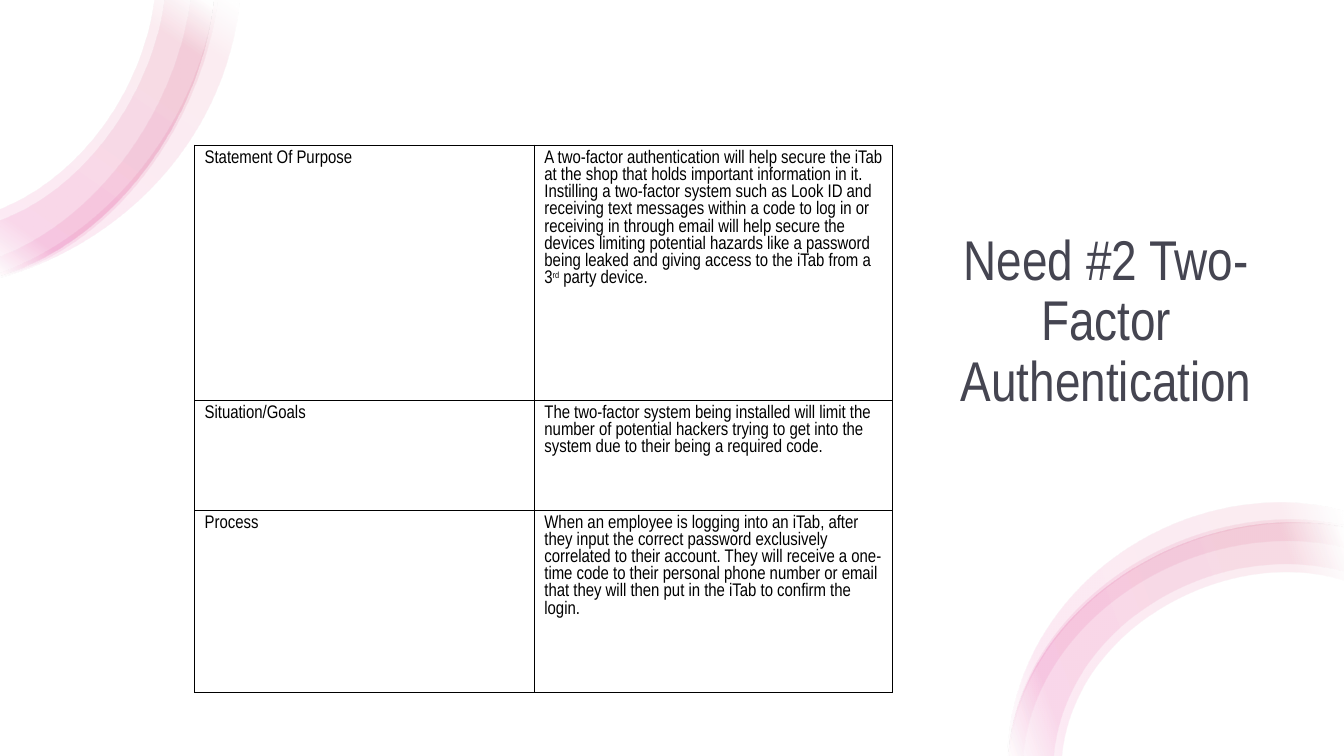
from lxml import etree
from pptx import Presentation
from pptx.dml.color import RGBColor
from pptx.enum import shapes, text
from pptx.oxml import parse_xml
from pptx.oxml.ns import nsdecls, qn
from pptx.util import Inches, Pt

HUES = {"white": "FFFFFF", "rose": "D54773", "pink": "E32D91",
        "slate": "454551", "black": "000000"}
FONT = "Arial Narrow"
STOPS = [(2, "white"), (16, "rose"), (85, "pink"), (100, "white")]


def write(frame, runs, size, hue="black", align=text.PP_ALIGN.LEFT, space=1.0):
    """Fill a frame with one paragraph of (words, raised) runs."""
    frame.word_wrap = True
    para = frame.paragraphs[0]
    para.alignment, para.line_spacing = align, space
    for words, raised in runs:
        run = para.add_run()
        run.text = words
        run.font.name = FONT
        run.font.size = Pt(11 if raised else size)
        run.font.color.rgb = RGBColor.from_string(HUES[hue])
        if raised:
            run.font._element.set("baseline", "30000")


def bend(lines):
    """Turn each three line segments into one cubic curve."""
    for i in range(0, len(lines), 3):
        curve = etree.Element(qn("a:cubicBezTo"))
        lines[i].addprevious(curve)
        for line in lines[i:i + 3]:
            curve.append(line[0])
            line.getparent().remove(line)


deck = Presentation()
deck.slide_width, deck.slide_height = Inches(13.33), Inches(7.5)
slide = deck.slides.add_slide(deck.slide_layouts[6])

back = slide.shapes.add_shape(shapes.MSO_SHAPE.RECTANGLE, 0, 0,
                              deck.slide_width, deck.slide_height)
back.shadow.inherit = False
back.fill.solid()
back.fill.fore_color.rgb = RGBColor.from_string(HUES["white"])
back.line.fill.background()

# Each ribbon: gradient angle, then the outer and inner curve of each band
top_rim = [(0, 2.73), (1.1, 2.4), (1.98, 1.24), (2.12, 0)]
low_rim = [(10, 7.5), (10.08, 6.2), (11.45, 5.18), (12.82, 5.18),
           (13, 5.18), (13.17, 5.2), (13.33, 5.23)]
RIBBONS = [
    (125, [
        ([(0, 2.75), (1.24, 2.4), (2.24, 1.36), (2.37, 0)],
         [(0, 2.7), (1.1, 2.3), (1.96, 1.2), (2.12, 0)]),
        (top_rim, [(0, 2.07), (0.8, 1.75), (1.41, 0.9), (1.53, 0)]),
        ([(0, 2.74), (1.14, 2.44), (2, 1.22), (2.16, 0)],
         [(0, 2.54), (0.98, 2.16), (1.74, 1.1), (1.89, 0)]),
        (top_rim, [(0, 2.18), (0.85, 1.87), (1.51, 0.92), (1.63, 0)]),
    ]),
    (160, [
        (low_rim, [(10.53, 7.5), (10.65, 6.2), (12.2, 5.4), (13.33, 5.76)]),
        (low_rim, [(10.45, 7.5), (10.57, 6.15), (12.1, 5.33), (13.33, 5.67)]),
        ([(10, 7.5), (10.08, 6.2), (11.4, 5.16), (12.8, 5.16),
          (12.98, 5.16), (13.16, 5.19), (13.33, 5.22)],
         [(10.15, 7.5), (10.26, 6.15), (11.85, 5.1), (13.33, 5.44)]),
        ([(9.99, 7.5), (10.03, 6.07), (11.3, 4.99), (12.7, 4.99),
          (12.92, 4.99), (13.13, 5.02), (13.33, 5.08)],
         [(10.01, 7.5), (10.1, 6.1), (11.75, 4.95), (13.33, 5.24)]),
    ]),
]
for angle, bands in RIBBONS:
    stops = "".join(
        f'<a:gs pos="{pos * 1000}"><a:srgbClr val="{HUES[hue]}">'
        f'<a:alpha val="10000"/></a:srgbClr></a:gs>' for pos, hue in STOPS)
    for outer, inner in bands:
        rim = [(Inches(x), Inches(y)) for x, y in outer + inner[::-1]]
        pen = slide.shapes.build_freeform(*rim[0])
        pen.add_line_segments(rim[1:], close=True)
        band = pen.convert_to_shape()
        band.shadow.inherit = False
        band.line.fill.background()
        geom = band._element.spPr.find(qn("a:custGeom"))
        lines = list(geom.iter(qn("a:lnTo")))
        turn = len(outer) - 1
        bend(lines[:turn])
        bend(lines[turn + 1:turn + 4])
        geom.addnext(parse_xml(
            f'<a:gradFill {nsdecls("a")}><a:gsLst>{stops}</a:gsLst>'
            f'<a:lin ang="{angle * 60000}" scaled="0"/></a:gradFill>'))

title = slide.shapes.add_textbox(Inches(9.11), Inches(1.22),
                                 Inches(3.72), Inches(2.93)).text_frame
title.vertical_anchor = text.MSO_ANCHOR.BOTTOM
write(title, [("Need #2 Two-Factor Authentication", False)], 40, hue="slate",
      align=text.PP_ALIGN.CENTER, space=0.9)

ROWS = [
    (2.53, "Statement Of Purpose", [
        ("A two-factor authentication will help secure the iTab at the shop that "
         "holds important information in it. Instilling a two-factor system such as "
         "Look ID and receiving text messages within a code to log in or receiving "
         "in through email will help secure the devices limiting potential hazards "
         "like a password being leaked and giving access to the iTab from a 3", False),
        ("rd", True), (" party device.", False)]),
    (1.09, "Situation/Goals", [
        ("The two-factor system being installed will limit the number of potential "
         "hackers trying to get into the system due to their being a required code.",
         False)]),
    (1.81, "Process", [
        ("When an employee is logging into an iTab, after they input the correct "
         "password exclusively correlated to their account. They will receive a "
         "one-time code to their personal phone number or email that they will then "
         "put in the iTab to confirm the login.", False)]),
]
grid = slide.shapes.add_table(len(ROWS), 2, Inches(1.93), Inches(1.44),
                              Inches(6.92), Inches(5.43)).table
grid.first_row = grid.horz_banding = False
for col, width in zip(grid.columns, (3.37, 3.55)):
    col.width = Inches(width)
for row, (height, label, runs) in zip(grid.rows, ROWS):
    row.height = Inches(height)
    for cell, words in zip(row.cells, ([(label, False)], runs)):
        write(cell.text_frame, words, 13)
        cell.fill.background()
        props = cell._tc.get_or_add_tcPr()
        for spot, side in enumerate(("lnL", "lnR", "lnT", "lnB")):
            edge = etree.fromstring(
                f'<a:{side} {nsdecls("a")} w="9525"><a:solidFill>'
                f'<a:srgbClr val="{HUES["black"]}"/></a:solidFill></a:{side}>')
            props.insert(spot, edge)

deck.save("out.pptx")
